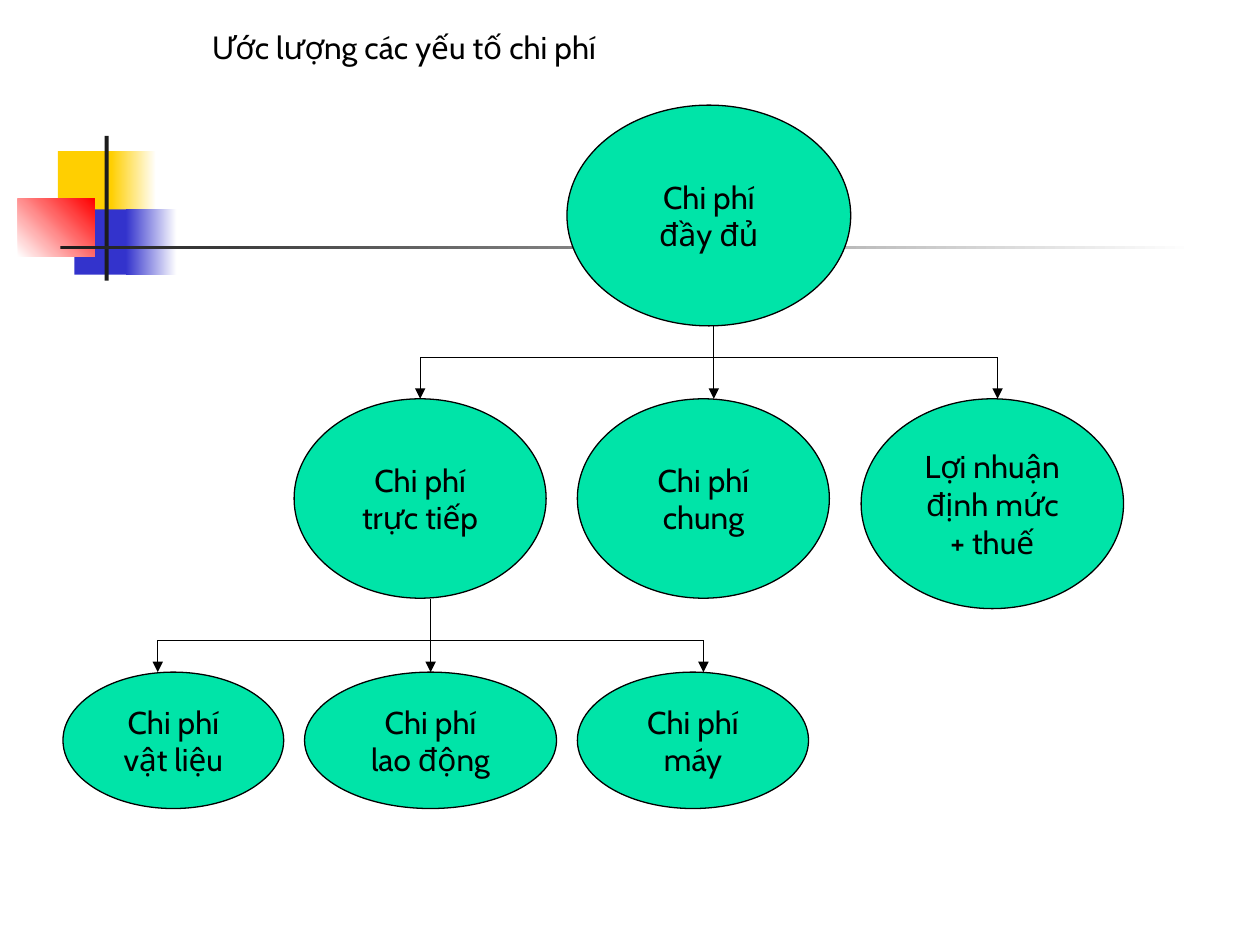
from dataclasses import dataclass

from lxml.etree import SubElement
from pptx import Presentation
from pptx.dml.color import RGBColor
from pptx.enum.shapes import MSO_CONNECTOR, MSO_SHAPE
from pptx.enum.text import MSO_ANCHOR, MSO_AUTO_SIZE, PP_ALIGN
from pptx.oxml.ns import qn
from pptx.util import Cm, Pt


@dataclass(frozen=True)
class Theme:
    font: str = "Cabin"
    text_size: float = 18
    line_width: float = 0.75
    ink: str = "000000"
    node: str = "00E4A8"
    yellow: str = "FFCF01"
    blue: str = "3333CC"
    red: str = "FF0000"
    charcoal: str = "1C1C1C"
    paper: str = "FFFFFF"


def rgb(code):
    return RGBColor.from_string(code)


class CostSlide:
    def __init__(self, slide, theme):
        self.slide = slide
        self.theme = theme

    def set_lines(self, frame, lines, align):
        frame.text = "\n".join(lines)
        for paragraph in frame.paragraphs:
            paragraph.alignment = align
            paragraph.font.name = self.theme.font
            paragraph.font.size = Pt(self.theme.text_size)
            paragraph.font.color.rgb = rgb(self.theme.ink)

    def title(self, text, *box):
        heading = self.slide.shapes.title
        heading.left, heading.top, heading.width, heading.height = map(Cm, box)
        frame = heading.text_frame
        frame.word_wrap = True
        frame.auto_size = MSO_AUTO_SIZE.NONE
        frame.vertical_anchor = MSO_ANCHOR.TOP
        self.set_lines(frame, [text], PP_ALIGN.LEFT)

    def block(self, box, start, end=None, angle=0):
        """Draw a borderless rectangle, fading from start to end if end is given."""
        block = self.slide.shapes.add_shape(MSO_SHAPE.RECTANGLE, *map(Cm, box))
        block.shadow.inherit = False
        block.line.fill.background()
        if end is None:
            block.fill.solid()
            block.fill.fore_color.rgb = rgb(start)
            return
        block.fill.gradient()
        block.fill.gradient_angle = angle
        for stop, color in zip(block.fill.gradient_stops, (start, end)):
            stop.color.rgb = rgb(color)

    def node(self, lines, *box):
        oval = self.slide.shapes.add_shape(MSO_SHAPE.OVAL, *map(Cm, box))
        oval.shadow.inherit = False
        oval.fill.solid()
        oval.fill.fore_color.rgb = rgb(self.theme.node)
        oval.line.color.rgb = rgb(self.theme.ink)
        oval.line.width = Pt(self.theme.line_width)
        oval.text_frame.word_wrap = False
        oval.text_frame.vertical_anchor = MSO_ANCHOR.MIDDLE
        self.set_lines(oval.text_frame, lines, PP_ALIGN.CENTER)

    def line(self, *ends, arrow=False):
        link = self.slide.shapes.add_connector(MSO_CONNECTOR.STRAIGHT, *map(Cm, ends))
        link.line.color.rgb = rgb(self.theme.ink)
        link.line.width = Pt(self.theme.line_width)
        properties = link._element.spPr
        if arrow:
            SubElement(properties.find(qn("a:ln")), qn("a:tailEnd"), type="triangle")
        SubElement(properties, qn("a:effectLst"))

    def branch(self, left, stem, right, top, bar, bottom):
        """Join a parent to three children: a bar, two side arrows and a stem arrow."""
        self.line(left, bar, right, bar)
        for x, start in ((left, bar), (stem, top), (right, bar)):
            self.line(x, start, x, bottom, arrow=True)

    def ornament(self):
        theme = self.theme
        self.block((1.17, 3.05, 1.22, 1.32), theme.yellow)
        self.block((2.24, 3.05, 0.91, 1.32), theme.yellow, theme.paper)
        self.block((1.5, 4.22, 1.17, 1.32), theme.blue)
        self.block((2.54, 4.22, 1.02, 1.32), theme.blue, theme.paper)
        self.block((0.36, 4.01, 1.55, 1.17), theme.paper, theme.red, angle=45)
        self.block((2.11, 2.74, 0.08, 2.92), theme.charcoal)
        self.block((1.22, 4.95, 22.86, 0.08), theme.charcoal, theme.paper)


def main():
    deck = Presentation()
    deck.slide_width, deck.slide_height = Cm(25.4), Cm(19.05)
    title_only = deck.slide_layouts[5]
    costs = CostSlide(deck.slides.add_slide(title_only), Theme())

    costs.ornament()
    costs.title("Ước lượng các yếu tố chi phí", 4.01, 0.43, 13.34, 3.23)

    parts_top, direct_parts_top = 8.04, 13.55
    costs.node(["Chi phí", "đầy đủ"], 11.43, 2.12, 5.72, 4.45)

    for lines, left, width, height in (
        (["Chi phí", "trực tiếp"], 5.93, 5.08, 4.02),
        (["Chi phí", "chung"], 11.64, 5.08, 4.02),
        (["Lợi nhuận", "định mức", "+ thuế"], 17.36, 5.29, 4.23),
    ):
        costs.node(lines, left, parts_top, width, height)

    for name, left, width in (
        ("vật liệu", 1.27, 4.45),
        ("lao động", 6.14, 5.08),
        ("máy", 11.64, 4.66),
    ):
        costs.node(["Chi phí", name], left, direct_parts_top, width, 2.75)

    costs.branch(8.47, 14.39, 20.11, top=6.56, bar=7.2, bottom=parts_top)
    costs.branch(3.18, 8.68, 14.18, top=12.07, bar=12.91, bottom=direct_parts_top)

    deck.save("out.pptx")


if __name__ == "__main__":
    main()
